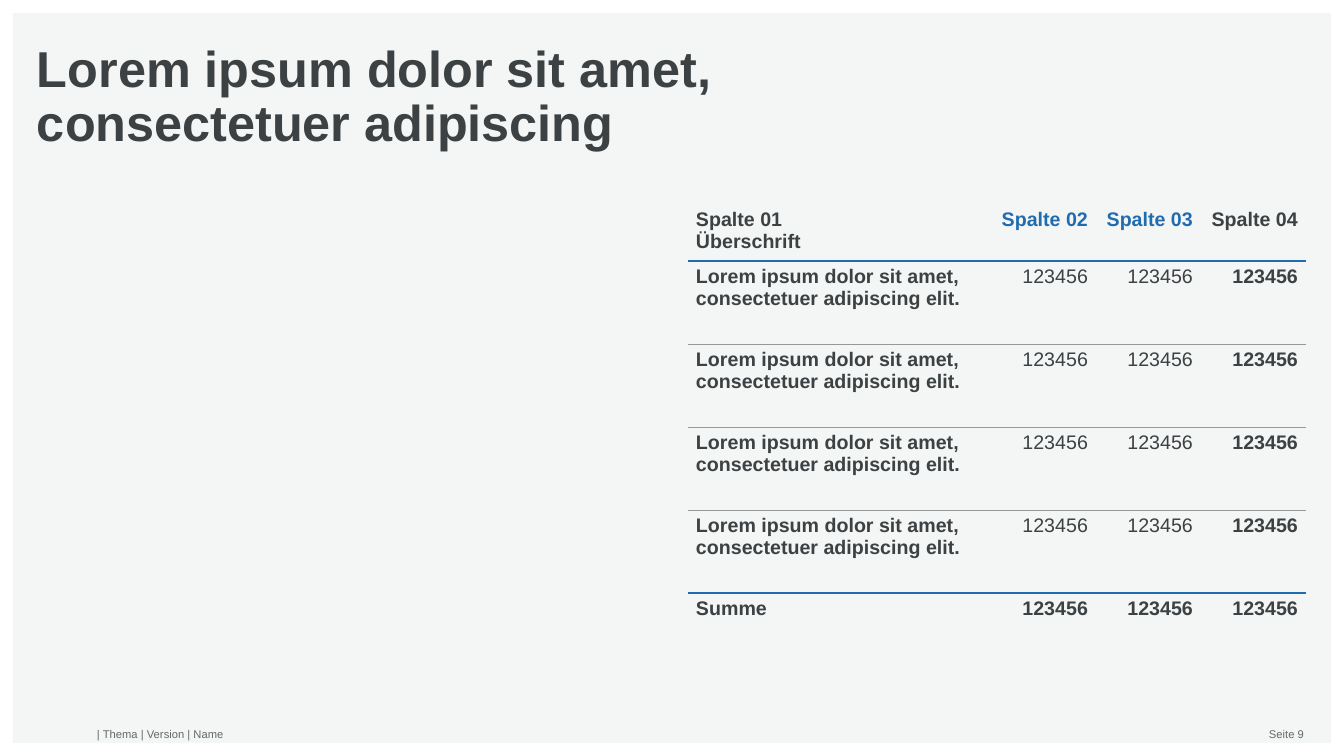
from dataclasses import dataclass
from lxml.etree import SubElement
from pptx import Presentation
from pptx.dml.color import RGBColor
from pptx.enum.shapes import MSO_SHAPE
from pptx.enum.text import MSO_ANCHOR, PP_ALIGN
from pptx.oxml.ns import qn
from pptx.util import Pt

SCALE = 914400 / 100.8


def px(n):
    return round(n * SCALE)


@dataclass(frozen=True)
class Theme:
    font: str = "Arial"
    panel: str = "F4F5F5"
    ink: str = "3C4143"
    blue: str = "206CAF"
    rule: str = "969797"
    muted: str = "64686A"
    title: int = 36
    body: int = 14
    small: int = 8
    thin: float = 0.5
    thick: float = 2.21


class Page:
    def __init__(self, deck, theme):
        self.theme = theme
        self.slide = deck.slides.add_slide(deck.slide_layouts[6])

    def style(self, para, size, color, bold=False, align=PP_ALIGN.LEFT):
        para.alignment = align
        for run in para.runs:
            font = run.font
            font.name = self.theme.font
            font.size = Pt(size)
            font.bold = bold
            font.color.rgb = RGBColor.from_string(color)

    def panel(self, *box):
        shape = self.slide.shapes.add_shape(MSO_SHAPE.RECTANGLE, *map(px, box))
        shape.shadow.inherit = False
        shape.fill.solid()
        shape.fill.fore_color.rgb = RGBColor.from_string(self.theme.panel)
        shape.line.fill.background()

    def text(self, box, words, size, color, pad=0, anchor=MSO_ANCHOR.TOP, space=1.0, **look):
        frame = self.slide.shapes.add_textbox(*map(px, box)).text_frame
        frame.word_wrap = True
        frame.vertical_anchor = anchor
        frame.margin_left = frame.margin_right = 0
        frame.margin_top = frame.margin_bottom = px(pad)
        frame.text = words
        para = frame.paragraphs[0]
        para.line_spacing = space
        self.style(para, size, color, **look)

    def edge(self, cell, side, line):
        node = SubElement(cell._tc.get_or_add_tcPr(), qn(f"a:ln{side}"))
        if line is None:
            SubElement(node, qn("a:noFill"))
            return
        color, width = line
        node.set("w", str(Pt(width)))
        fill = SubElement(node, qn("a:solidFill"))
        SubElement(fill, qn("a:srgbClr")).set("val", color)

    def table(self, left, top, cols, heights, rows):
        t = self.theme
        last = len(rows) - 1
        blue, gray = (t.blue, t.thick), (t.rule, t.thin)
        lines = [None, blue] + [gray] * (last - 2) + [blue, None]
        box = left, top, sum(cols), sum(heights)
        grid = self.slide.shapes.add_table(len(rows), len(cols), *map(px, box)).table
        grid.first_row = grid.horz_banding = False
        for col, width in zip(grid.columns, cols):
            col.width = px(width)
        for r, row in enumerate(rows):
            grid.rows[r].height = px(heights[r])
            for c, words in enumerate(row):
                cell = grid.cell(r, c)
                cell.margin_left = cell.margin_right = px(8)
                cell.margin_top = cell.margin_bottom = px(5)
                for side, line in zip("LRTB", (None, None, lines[r], lines[r + 1])):
                    self.edge(cell, side, line)
                cell.fill.background()
                cell.text_frame.text = words
                inner = c in (1, 2)
                color = t.blue if r == 0 and inner else t.ink
                bold = r in (0, last) or not inner
                align = PP_ALIGN.RIGHT if c else PP_ALIGN.LEFT
                self.style(cell.text_frame.paragraphs[0], t.body, color, bold, align)


def main():
    deck = Presentation()
    deck.slide_width, deck.slide_height = px(1344), px(756)
    t = Theme()
    page = Page(deck, t)
    page.panel(13, 13, 1318, 730)
    page.text((37, 44, 945, 127), "Lorem ipsum dolor sit amet, consectetuer adipiscing",
              t.title, t.ink, space=0.9, bold=True)
    value = ["123456"] * 3
    head = ["Spalte 01\vÜberschrift", "Spalte 02", "Spalte 03", "Spalte 04"]
    item = ["Lorem ipsum dolor sit amet, consectetuer adipiscing elit."] + value
    total = ["Summe"] + value
    page.table(688, 204, [303] + [105] * 3, [43] + [83] * 4 + [43],
               [head] + [item] * 4 + [total])
    foot = dict(size=t.small, color=t.muted, pad=5, anchor=MSO_ANCHOR.MIDDLE)
    page.text((1220, 726, 84, 16), "Seite 9", align=PP_ALIGN.RIGHT, **foot)
    page.text((97, 726, 377, 16), "| Thema | Version | Name", **foot)
    deck.save("out.pptx")


if __name__ == "__main__":
    main()
